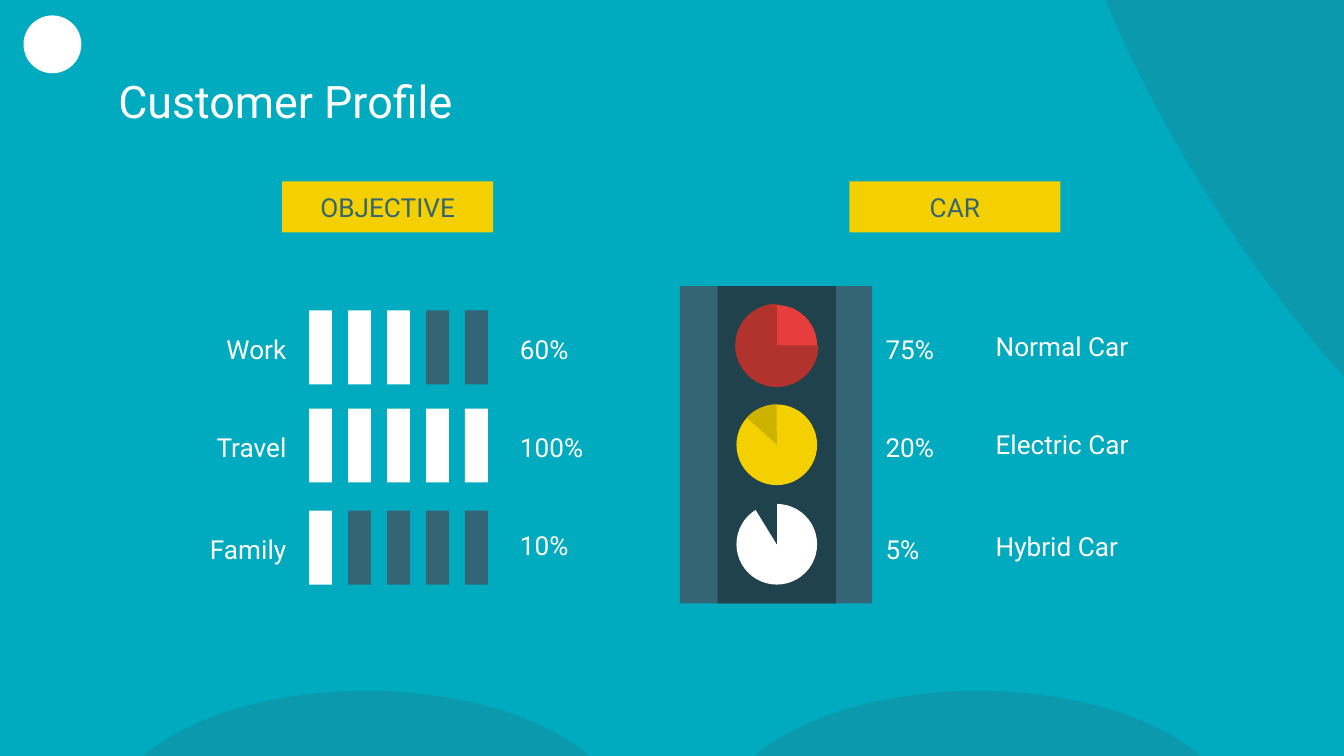
from lxml import etree
from pptx import Presentation
from pptx.dml.color import RGBColor
from pptx.enum.shapes import MSO_SHAPE
from pptx.enum.text import MSO_ANCHOR, MSO_AUTO_SIZE, PP_ALIGN
from pptx.oxml.ns import qn
from pptx.util import Inches, Pt

RECT, OVAL, PIE = MSO_SHAPE.RECTANGLE, MSO_SHAPE.OVAL, MSO_SHAPE.PIE
LEFT, CENTER, RIGHT = PP_ALIGN.LEFT, PP_ALIGN.CENTER, PP_ALIGN.RIGHT
TOP, MIDDLE = MSO_ANCHOR.TOP, MSO_ANCHOR.MIDDLE

SLIDE_WIDTH = Inches(10)
SLIDE_HEIGHT = SLIDE_WIDTH * 9 // 16
COLORS = {
    "teal": "00ABBF", "slate": "336574", "white": "FFFFFF", "yellow": "F4D000",
    "dark": "1F424C", "red": "E83D3D", "deep_red": "B2322E", "ochre": "CEB200",
}
FRAME_FORMAT = {
    "word_wrap": True, "auto_size": MSO_AUTO_SIZE.NONE,
    "margin_left": Inches(0.1), "margin_right": Inches(0.1),
    "margin_top": Inches(0.1), "margin_bottom": Inches(0.1),
}
OBJECTIVES = [("Work", "60%", 3), ("Travel", "100%", 5), ("Family", "10%", 1)]
CARS = [
    ("75%", "Normal Car", "red", "deep_red", 0, 0.01),
    ("20%", "Electric Car", "yellow", "ochre", 222.36, 0),
    ("5%", "Hybrid Car", "white", "dark", 238.44, 0.01),
]
ROW_OFFSETS = [0, 0.73, 1.49]
VALUE_PITCH = 0.73
LAMP_PITCH = 0.74
LAMP_SIZE = 0.6
BAR_PITCH = 0.29
BAR_COUNT = 5


def set_format(target, values):
    for name, value in values.items():
        setattr(target, name, value)


def rgb(color):
    return RGBColor.from_string(COLORS[color])


def write(holder, text, size=14, color="white", align=LEFT, anchor=TOP, after=0):
    frame = holder.text_frame
    set_format(frame, {**FRAME_FORMAT, "vertical_anchor": anchor})
    frame.text = text
    paragraph = frame.paragraphs[0]
    set_format(paragraph, {"alignment": align, "space_before": Pt(0), "space_after": Pt(after)})
    set_format(paragraph.font, {"name": "Roboto", "size": Pt(size)})
    paragraph.font.color.rgb = rgb(color)


def add_block(slide, kind, left, top, width, height, color):
    block = slide.shapes.add_shape(kind, Inches(left), Inches(top), Inches(width), Inches(height))
    block.shadow.inherit = False
    block.fill.solid()
    block.fill.fore_color.rgb = rgb(color)
    block.line.fill.background()
    return block


def add_label(slide, left, top, width, text, align=LEFT):
    label = slide.shapes.add_textbox(Inches(left), Inches(top), Inches(width), Inches(0.41))
    write(label, text, align=align, after=2)


def add_backdrop(slide):
    slide.background.fill.solid()
    slide.background.fill.fore_color.rgb = rgb("teal")
    for left, top, width, height, angle in [
        (6.2, -1.55, 9.54, 4.27, 55.5), (0.78, 5.14, 3.89, 2.02, 0), (5.33, 5.14, 3.89, 2.02, 0),
    ]:
        hill = add_block(slide, OVAL, left, top, width, height, "slate")
        hill.rotation = angle
        tint = hill.fill._xPr.find(qn("a:solidFill"))[0]
        etree.SubElement(tint, qn("a:alpha"), val="23000")
    badge = add_block(slide, OVAL, 0.18, 0.12, 0.42, 0.42, "white")
    badge.line.color.rgb = rgb("white")
    badge.line.width = Pt(0.75)


def add_title(slide, left, top, width, height):
    title = slide.shapes.title
    set_format(title, {
        "left": Inches(left), "top": Inches(top),
        "width": Inches(width), "height": Inches(height),
    })
    write(title, "Customer Profile", size=24, anchor=MIDDLE)


def add_heading(slide, left, top, text):
    heading = add_block(slide, RECT, left, top, 1.57, 0.38, "yellow")
    write(heading, text, color="slate", align=CENTER, anchor=MIDDLE)


def add_objectives(slide, left, top):
    add_heading(slide, left + 1.2, top, "OBJECTIVE")
    for row, (objective, share, filled) in enumerate(OBJECTIVES):
        row_top = top + 0.96 + ROW_OFFSETS[row]
        add_label(slide, left, row_top + 0.07, 1.33, objective, RIGHT)
        for bar in range(BAR_COUNT):
            color = "white" if bar < filled else "slate"
            add_block(slide, RECT, left + 1.4 + bar * BAR_PITCH, row_top, 0.17, 0.55, color)
        add_label(slide, left + 2.87, top + 1.03 + row * VALUE_PITCH, 0.98, share)


def add_cars(slide, left, top):
    add_heading(slide, left + 1.26, top, "CAR")
    add_block(slide, RECT, left, top + 0.78, 1.43, 2.36, "slate")
    add_block(slide, RECT, left + 0.28, top + 0.78, 0.88, 2.36, "dark")
    for row, (share, car, lamp_color, wedge_color, start, overlap) in enumerate(CARS):
        lamp_left, lamp_top = left + 0.42, top + 0.92 + row * LAMP_PITCH
        add_block(slide, OVAL, lamp_left, lamp_top, LAMP_SIZE, LAMP_SIZE, lamp_color)
        wedge_size = LAMP_SIZE + 2 * overlap
        wedge = add_block(slide, PIE, lamp_left - overlap, lamp_top - overlap,
                          wedge_size, wedge_size, wedge_color)
        for index, degrees in enumerate((start, 270)):
            wedge.adjustments[index] = degrees * 0.6
        label_top = top + 1.03 + ROW_OFFSETS[row]
        add_label(slide, left + 1.43, label_top, 0.82, share)
        add_label(slide, left + 2.25, label_top - 0.02, 1.8, car)


def main():
    deck = Presentation()
    deck.slide_width, deck.slide_height = SLIDE_WIDTH, SLIDE_HEIGHT
    slide = deck.slides.add_slide(deck.slide_layouts[5])
    add_backdrop(slide)
    add_title(slide, 0.78, 0.43, 8.44, 0.63)
    add_objectives(slide, 0.9, 1.35)
    add_cars(slide, 5.06, 1.35)
    deck.save("out.pptx")


if __name__ == "__main__":
    main()
